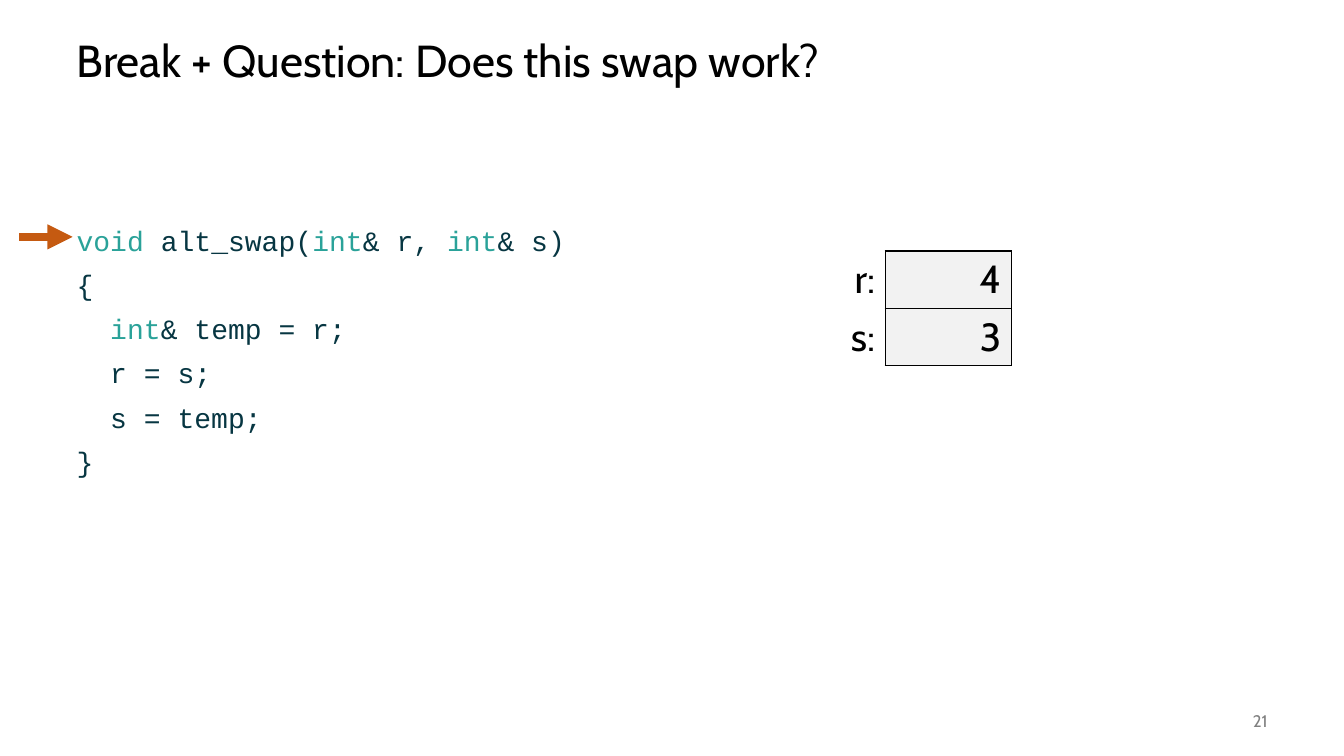
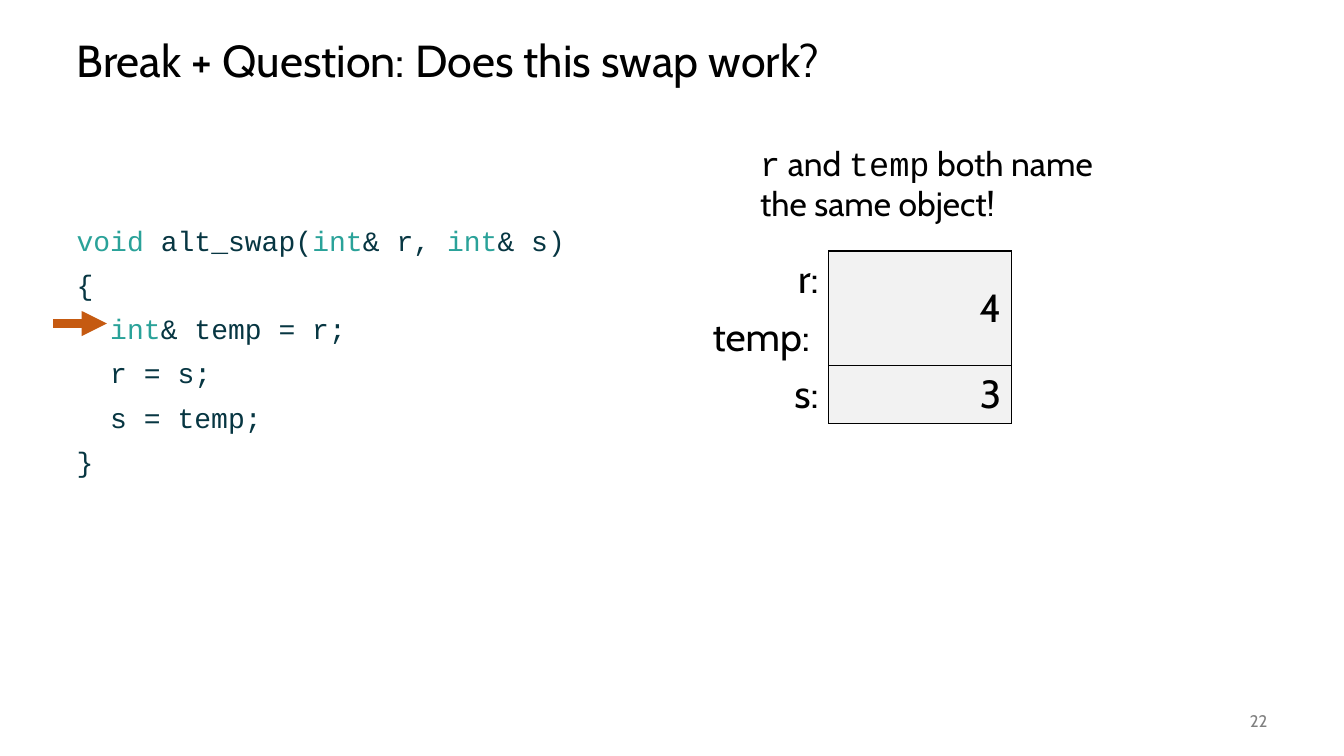
import pptx
import pptx.dml.color
import pptx.enum.shapes
import pptx.enum.text
import pptx.oxml
import pptx.oxml.ns
import pptx.util
from dataclasses import dataclass

Inches = pptx.util.Inches
Pt = pptx.util.Pt
ALIGN = pptx.enum.text.PP_ALIGN
ANCHOR = pptx.enum.text.MSO_ANCHOR


@dataclass(frozen=True)
class Theme:
    text_font: str = "Cabin"
    code_font: str = "Courier New"
    black: str = "000000"
    gray: str = "808080"
    code: str = "073642"
    keyword: str = "2AA299"
    cell: str = "F2F2F2"
    arrow: str = "C55A11"
    title_size: int = 32
    table_size: int = 28
    note_size: int = 24
    code_size: int = 20
    number_size: int = 12


THEME = Theme()
SLIDE_WIDTH, SLIDE_HEIGHT = 13.33, 7.5
MARGIN = 0.66
CODE_TOP = 2.2
TABLE_TOP, TABLE_RIGHT, ROW_HEIGHT = 2.49, 10.03, 0.57
ARROW_LEFT, ARROW_TOP, ARROW_LENGTH = 0.19, 2.35, 0.53
LINE_PITCH, CHARACTER_WIDTH = 0.43, 0.17

TITLE = "Break + Question: Does this swap work?"
KEYWORD = {"color": THEME.keyword}
MONO = {"font": THEME.code_font}
CODE = [
    [("void ", KEYWORD), "alt_swap(", ("int", KEYWORD), "& r, ", ("int", KEYWORD), "& s)"],
    ["{"],
    [("  int", KEYWORD), "& temp = r;"],
    ["  r = s;"],
    ["  s = temp;"],
    ["}"],
]
# A value of None means that the name shares the object above it.
SLIDES = [
    {"number": 21, "line": 0, "indent": 0, "column": 1.25,
     "variables": [("r:", "4"), ("s:", "3")]},
    {"number": 22, "line": 2, "indent": 2, "column": 1.81,
     "variables": [("r:", "4"), ("temp: ", None), ("s:", "3")],
     "note": [("r", MONO), " and ", ("temp", MONO), " both name the same object!"]},
]


def rgb(color):
    return pptx.dml.color.RGBColor.from_string(color)


def write_text(frame, paragraphs, *, size, font=THEME.text_font, color=THEME.black,
               align=ALIGN.LEFT, anchor=ANCHOR.TOP, line_spacing=None,
               space_before=0, bullets=True):
    """Fill a text frame; a run is a string or a (string, overrides) pair."""
    frame.word_wrap = True
    frame.vertical_anchor = anchor
    for index, runs in enumerate(paragraphs):
        paragraph = frame.paragraphs[0] if index == 0 else frame.add_paragraph()
        if not bullets:
            properties = paragraph._p.get_or_add_pPr()
            properties.set("marL", "0")
            properties.set("indent", "0")
            pptx.oxml.ns.qn("a:buNone")
            properties.append(pptx.oxml.parse_xml(
                f'<a:buNone {pptx.oxml.ns.nsdecls("a")}/>'))
        paragraph.alignment = align
        paragraph.space_before = Pt(space_before if index else 0)
        if line_spacing:
            paragraph.line_spacing = line_spacing
        for item in runs:
            text, overrides = (item, {}) if isinstance(item, str) else item
            run = paragraph.add_run()
            run.text = text
            run.font.size = Pt(size)
            run.font.name = overrides.get("font", font)
            run.font.color.rgb = rgb(overrides.get("color", color))


def place(shape, left, top, width, height):
    shape.left, shape.top = Inches(left), Inches(top)
    shape.width, shape.height = Inches(width), Inches(height)


def add_text_box(slide, box, runs, **text_format):
    shape = slide.shapes.add_textbox(*map(Inches, box))
    write_text(shape.text_frame, [runs], **text_format)


def add_borders(cell, color):
    properties = cell._tc.get_or_add_tcPr()
    for position, side in enumerate(("lnL", "lnR", "lnT", "lnB")):
        properties.insert(position, pptx.oxml.parse_xml(
            f'<a:{side} {pptx.oxml.ns.nsdecls("a")} w="{Pt(1)}"><a:solidFill>'
            f'<a:srgbClr val="{color}"/></a:solidFill></a:{side}>'))


def add_variables(slide, variables, column_width):
    """Draw names on the left and the objects they refer to on the right."""
    width = 2 * column_width
    table = slide.shapes.add_table(
        len(variables), 2, Inches(TABLE_RIGHT - width), Inches(TABLE_TOP),
        Inches(width), Inches(ROW_HEIGHT * len(variables))).table
    table.first_row = table.horz_banding = False
    style = table._tbl.tblPr.find(pptx.oxml.ns.qn("a:tableStyleId"))
    style.text = "{2D5ABB26-0587-4C30-8999-92F81FD0307C}"
    cell_format = {"size": THEME.table_size, "align": ALIGN.RIGHT}
    for row, (name, value) in enumerate(variables):
        name_cell, value_cell = table.cell(row, 0), table.cell(row, 1)
        name_cell.fill.background()
        write_text(name_cell.text_frame, [[name]], **cell_format)
        value_cell.fill.solid()
        value_cell.fill.fore_color.rgb = rgb(THEME.cell)
        add_borders(value_cell, THEME.black)
        if value is None:
            owner = table.cell(row - 1, 1)
            owner.merge(value_cell)
            owner.vertical_anchor = ANCHOR.MIDDLE
        else:
            write_text(value_cell.text_frame, [[value]], **cell_format)


def add_line_arrow(slide, line, indent):
    """Point at a line of the code."""
    left = ARROW_LEFT + indent * CHARACTER_WIDTH
    top = Inches(ARROW_TOP + line * LINE_PITCH)
    arrow = slide.shapes.add_connector(
        pptx.enum.shapes.MSO_CONNECTOR.STRAIGHT,
        Inches(left), top, Inches(left + ARROW_LENGTH), top)
    arrow.line.color.rgb = rgb(THEME.arrow)
    arrow.line.width = Pt(6)
    namespace = pptx.oxml.ns.nsdecls("a")
    arrow.line._get_or_add_ln().append(
        pptx.oxml.parse_xml(f'<a:tailEnd {namespace} type="triangle"/>'))
    arrow._element.spPr.append(pptx.oxml.parse_xml(f"<a:effectLst {namespace}/>"))


def add_swap_slide(presentation, content):
    slide = presentation.slides.add_slide(presentation.slide_layouts[1])
    title, body = slide.placeholders
    place(title, MARGIN, 0.25, 12, 0.75)
    write_text(title.text_frame, [[TITLE]], size=THEME.title_size,
               anchor=ANCHOR.MIDDLE, line_spacing=0.9)
    place(body, MARGIN, CODE_TOP, 5.75, SLIDE_HEIGHT - 0.75 - CODE_TOP)
    write_text(body.text_frame, CODE, size=THEME.code_size, font=THEME.code_font,
               color=THEME.code, line_spacing=0.9, space_before=10, bullets=False)
    for placeholder in (title, body):
        placeholder.text_frame.auto_size = pptx.enum.text.MSO_AUTO_SIZE.NONE
    add_text_box(slide, (SLIDE_WIDTH - MARGIN - 1, 6.95, 1, 0.4),
                 [str(content["number"])], size=THEME.number_size,
                 color=THEME.gray, align=ALIGN.RIGHT, anchor=ANCHOR.MIDDLE)
    add_variables(slide, content["variables"], content["column"])
    add_line_arrow(slide, content["line"], content["indent"])
    if "note" in content:
        add_text_box(slide, (7.44, 1.37, 3.62, 0.91), content["note"],
                     size=THEME.note_size)


def main():
    presentation = pptx.Presentation()
    presentation.slide_width = Inches(SLIDE_WIDTH)
    presentation.slide_height = Inches(SLIDE_HEIGHT)
    for content in SLIDES:
        add_swap_slide(presentation, content)
    presentation.save("out.pptx")


if __name__ == "__main__":
    main()
